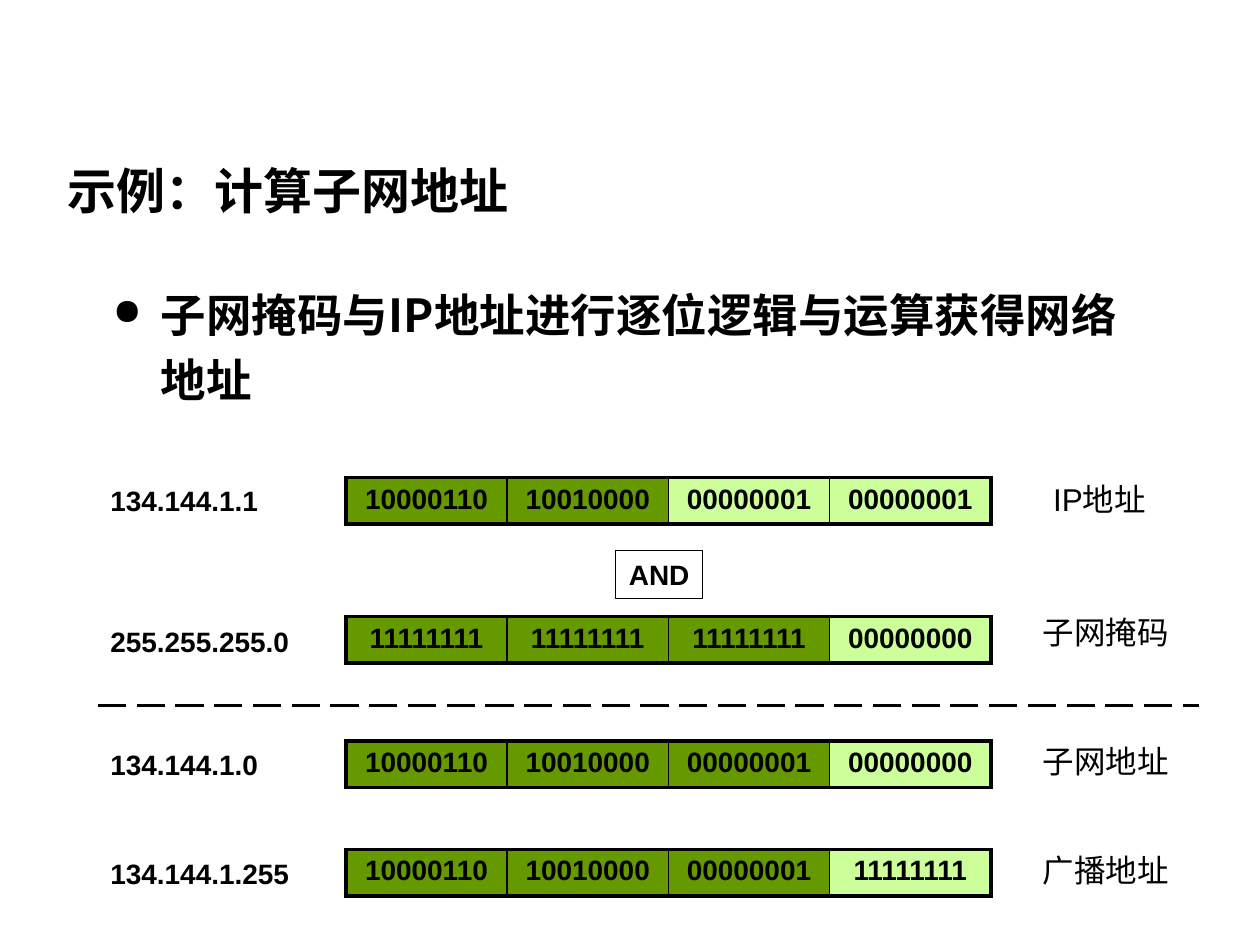
import pptx
import pptx.dml.color
import pptx.enum.dml
import pptx.enum.shapes
import pptx.enum.text
import pptx.oxml.ns
import pptx.util
from lxml import etree

Pt = pptx.util.Pt
qn = pptx.oxml.ns.qn
ALIGN = pptx.enum.text.PP_ALIGN
ANCHOR = pptx.enum.text.MSO_ANCHOR

COLORS = {"ink": "000000", "network": "669900", "host": "CCFF99"}
LATIN, TITLE_FONT, CJK = "Arial", "Noto Sans CJK JP", "Noto Sans CJK SC"

OCTET_LEFT, OCTET_WIDTH, OCTET_HEIGHT = 197.6, 92.16, 26.64
ADDRESS_LEFT = 56

# address, address top, octets, octets top, network octets, meaning, its left and top
ROWS = [
    ("134.144.1.1", 272.9, "10000110 10010000 00000001 00000001", 272.9, 2,
     "IP地址", 594.7, 270.7),
    ("255.255.255.0", 353.5, "11111111 11111111 11111111 00000000", 352.3, 3,
     "子网掩码", 588.7, 347),
    ("134.144.1.0", 423.9, "10000110 10010000 00000001 00000000", 423.4, 3,
     "子网地址", 588.7, 420.5),
    ("134.144.1.255", 486, "10000110 10010000 00000001 11111111", 485.3, 3,
     "广播地址", 588.7, 482.7),
]


def rgb(name):
    return pptx.dml.color.RGBColor.from_string(COLORS[name])


def write(frame, text, size, bold=True, latin=LATIN, east_asian=CJK):
    paragraph = frame.paragraphs[0]
    run = paragraph.add_run()
    run.text = text
    font = paragraph.font
    font.size, font.bold, font.name = Pt(size), bold, latin
    font.color.rgb = rgb("ink")
    # The East Asian typeface has no public setter
    run_properties = run._r.get_or_add_rPr()
    etree.SubElement(run_properties, qn("a:ea"), typeface=east_asian)
    return paragraph


def add_text(slide, box, text, size, wrap=True, anchor=ANCHOR.TOP, **fonts):
    frame = slide.shapes.add_textbox(*map(Pt, box)).text_frame
    frame.word_wrap = wrap
    frame.vertical_anchor = anchor
    return write(frame, text, size, **fonts)


def add_bullet(paragraph, indent):
    properties = paragraph._p.get_or_add_pPr()
    properties.set("marL", str(Pt(indent)))
    properties.set("indent", str(-Pt(indent)))
    run_defaults = properties.find(qn("a:defRPr"))
    run_defaults.addprevious(etree.Element(qn("a:buSzPct"), val="80000"))
    run_defaults.addprevious(etree.Element(qn("a:buChar"), char="●"))


def set_borders(cell, widths):
    properties = cell._tc.get_or_add_tcPr()
    for position, (side, width) in enumerate(widths.items()):
        line = etree.Element(qn("a:" + side), w=str(Pt(width)))
        fill = etree.SubElement(line, qn("a:solidFill"))
        etree.SubElement(fill, qn("a:srgbClr"), val=COLORS["ink"])
        properties.insert(position, line)


def add_octets(slide, top, octets, network_count):
    count = len(octets)
    table = slide.shapes.add_table(
        1, count, Pt(OCTET_LEFT), Pt(top),
        Pt(OCTET_WIDTH * count), Pt(OCTET_HEIGHT)).table
    for index, octet in enumerate(octets):
        cell = table.cell(0, index)
        cell.fill.solid()
        cell.fill.fore_color.rgb = rgb("network" if index < network_count else "host")
        write(cell.text_frame, octet, 16).alignment = ALIGN.CENTER
        set_borders(cell, {
            "lnL": 2.25 if index == 0 else 1,
            "lnR": 2.25 if index == count - 1 else 1,
            "lnT": 2.25,
            "lnB": 2.25,
        })


def add_operator(slide, box, text):
    operator = slide.shapes.add_shape(
        pptx.enum.shapes.MSO_SHAPE.RECTANGLE, *map(Pt, box))
    operator.shadow.inherit = False
    operator.fill.background()
    operator.line.color.rgb = rgb("ink")
    operator.line.width = Pt(0.75)
    operator.text_frame.word_wrap = False
    write(operator.text_frame, text, 16).alignment = ALIGN.CENTER


def add_divider(slide, left, right, y):
    divider = slide.shapes.add_connector(
        pptx.enum.shapes.MSO_CONNECTOR.STRAIGHT, Pt(left), Pt(y), Pt(right), Pt(y))
    divider.line.color.rgb = rgb("ink")
    divider.line.width = Pt(2)
    divider.line.dash_style = pptx.enum.dml.MSO_LINE.LONG_DASH
    etree.SubElement(divider._element.spPr, qn("a:effectLst"))


def main():
    deck = pptx.Presentation()
    deck.slide_width, deck.slide_height = Pt(720), Pt(540)
    slide = deck.slides.add_slide(deck.slide_layouts[6])

    # Title and statement
    add_text(slide, (31.7, 82.8, 620, 51.1), "示例：计算子网地址", 28,
             anchor=ANCHOR.MIDDLE, latin=TITLE_FONT, east_asian=TITLE_FONT)
    statement = add_text(slide, (57.4, 154.1, 607, 96.5),
                         "子网掩码与IP地址进行逐位逻辑与运算获得网络地址", 26, latin=CJK)
    statement.line_spacing = 1.2
    statement.space_before = Pt(5.2)
    add_bullet(statement, 27.4)

    # Addresses in decimal and binary, with their meaning
    for address, address_top, octets, top, network_count, meaning, left, meaning_top in ROWS:
        add_text(slide, (ADDRESS_LEFT, address_top, 124, 25.2), address, 16, wrap=False)
        add_octets(slide, top, octets.split(), network_count)
        add_text(slide, (left, meaning_top, 96.5, 28.8), meaning, 18, bold=False)

    # Operation and the line above its result
    add_operator(slide, (351.8, 314.6, 49.7, 27.4), "AND")
    add_divider(slide, ADDRESS_LEFT, 685.4, 403.2)

    deck.save("out.pptx")


if __name__ == "__main__":
    main()
